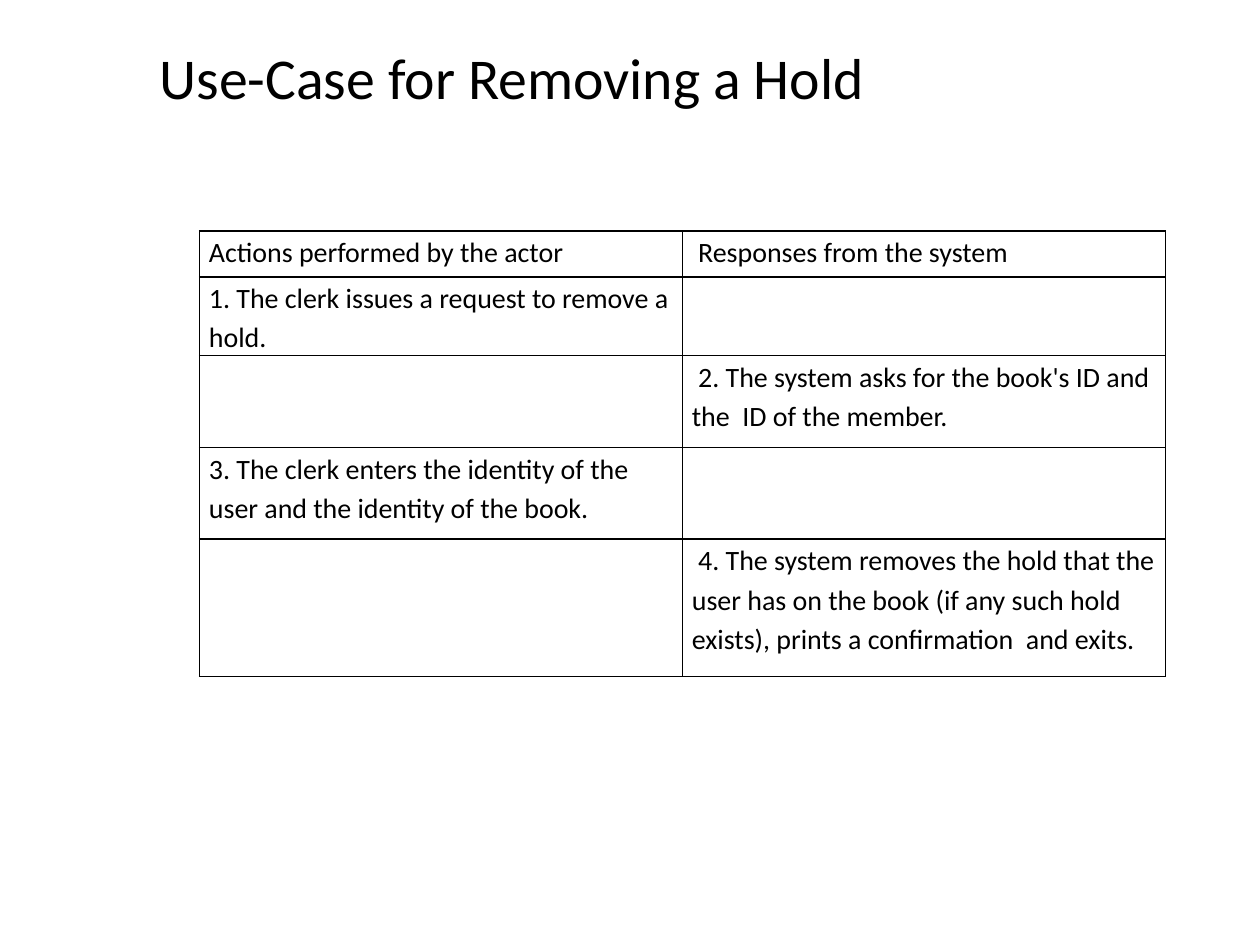
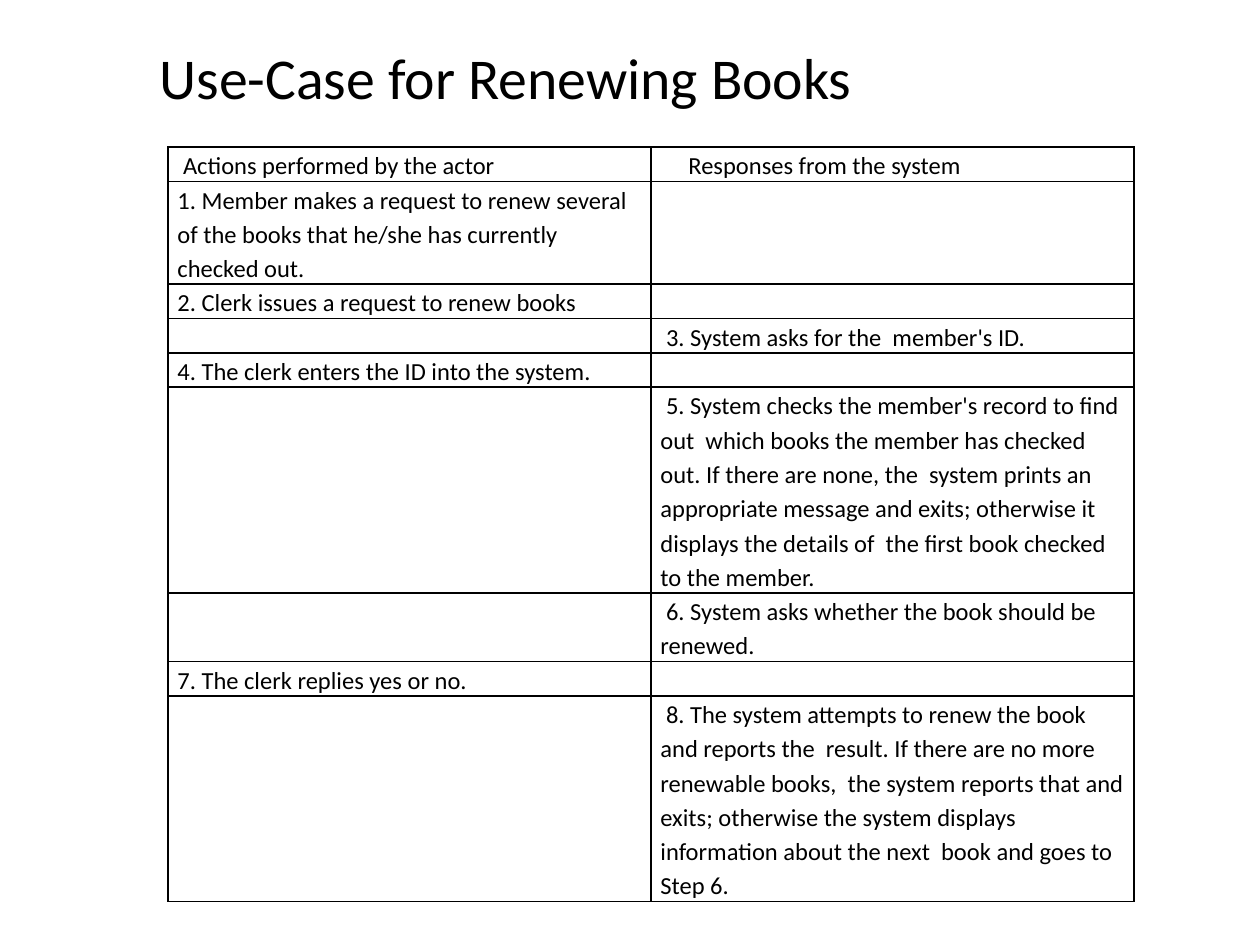
from lxml.etree import SubElement
from pptx import Presentation
from pptx.dml.color import RGBColor
from pptx.enum.text import MSO_ANCHOR, MSO_AUTO_SIZE, PP_ALIGN
from pptx.oxml.ns import qn
from pptx.util import Pt

FONT = "Calibri"
BLACK = "000000"
COLUMN_WIDTH = 276
ACTOR, SYSTEM = 0, 1

# Row heights are a number of text lines times the line height.
USE_CASES = [
    {
        "title": "Use-Case for Removing a Hold",
        "left": 114, "top": 132, "size": 16, "line_height": 26.2,
        "header_indents": (0, 3.6), "response_indent": 3.6,
        "steps": [
            (ACTOR, 1, "1. The clerk issues a request to remove a hold."),
            (SYSTEM, 2, "2. The system asks for the book's ID and the  ID of the member."),
            (ACTOR, 2, "3. The clerk enters the identity of the user and the identity of the book."),
            (SYSTEM, 3, "4. The system removes the hold that the user has on the book "
                        "(if any such hold exists), prints a confirmation  and exits."),
        ],
    },
    {
        "title": "Use-Case for Renewing Books",
        "left": 96, "top": 84, "size": 14, "line_height": 18.3,
        "header_indents": (3.2, 16), "response_indent": 3.2,
        "steps": [
            (ACTOR, 2, "1. Member makes a request to renew several of the books "
                       "that he/she has currently checked out."),
            (ACTOR, 1, "2. Clerk issues a request to renew books"),
            (SYSTEM, 1, "3. System asks for the  member's ID."),
            (ACTOR, 1, "4. The clerk enters the ID into the system."),
            (SYSTEM, 5, "5. System checks the member's record to find out  which books "
                        "the member has checked out. If there are none, the  system prints "
                        "an appropriate message and exits; otherwise it  displays the "
                        "details of  the first book checked to the member."),
            (SYSTEM, 2, "6. System asks whether the book should be renewed."),
            (ACTOR, 1, "7. The clerk replies yes or no."),
            (SYSTEM, 5, "8. The system attempts to renew the book and reports the  result. "
                        "If there are no more renewable books,  the system reports that and "
                        "exits; otherwise the system displays information about the next  "
                        "book and goes to Step 6."),
        ],
    },
]


def style_paragraph(paragraph, size, line_spacing):
    paragraph.alignment = PP_ALIGN.LEFT
    paragraph.line_spacing = line_spacing
    paragraph.font.name = FONT
    paragraph.font.size = Pt(size)
    paragraph.font.bold = False
    paragraph.font.color.rgb = RGBColor.from_string(BLACK)


def fill_cell(cell, text, size, indent):
    """Write a cell's text, with a first-line indent, and draw its borders."""
    cell.margin_left = cell.margin_right = Pt(5.4)
    cell.margin_top = cell.margin_bottom = 0
    cell.text = text
    paragraph = cell.text_frame.paragraphs[0]
    style_paragraph(paragraph, size, 1.15)
    paragraph._p.get_or_add_pPr().set("indent", str(Pt(indent)))
    # An empty cell takes its height from the end-of-paragraph size.
    SubElement(paragraph._p, qn("a:endParaRPr"), sz=str(size * 100))

    properties = cell._tc.get_or_add_tcPr()
    for side in ("a:lnL", "a:lnR", "a:lnT", "a:lnB"):
        border = SubElement(properties, qn(side), w=str(Pt(1)))
        solid_fill = SubElement(border, qn("a:solidFill"))
        SubElement(solid_fill, qn("a:srgbClr"), val=BLACK)
    cell.fill.background()


presentation = Presentation()
presentation.slide_width, presentation.slide_height = Pt(720), Pt(540)
title_only = presentation.slide_layouts.get_by_name("Title Only")

for use_case in USE_CASES:
    slide = presentation.slides.add_slide(title_only)
    title = slide.shapes.title
    title.left, title.top, title.width, title.height = Pt(84), Pt(12), Pt(600), Pt(68.4)
    title.text_frame.text = use_case["title"]
    title.text_frame.auto_size = MSO_AUTO_SIZE.NONE
    title.text_frame.vertical_anchor = MSO_ANCHOR.MIDDLE
    style_paragraph(title.text_frame.paragraphs[0], 33, 0.9)

    size, line_height = use_case["size"], use_case["line_height"]
    line_counts = [1] + [lines for _, lines, _ in use_case["steps"]]
    table = slide.shapes.add_table(
        len(line_counts), 2, Pt(use_case["left"]), Pt(use_case["top"]),
        Pt(2 * COLUMN_WIDTH), Pt(sum(line_counts) * line_height)).table
    table.first_row = table.horz_banding = False
    for column in table.columns:
        column.width = Pt(COLUMN_WIDTH)
    for row, lines in zip(table.rows, line_counts):
        row.height = Pt(lines * line_height)

    headers = ("Actions performed by the actor", "Responses from the system")
    for column, header in enumerate(headers):
        fill_cell(table.cell(0, column), header, size, use_case["header_indents"][column])
    step_indents = (0, use_case["response_indent"])
    for row, (performer, _, text) in enumerate(use_case["steps"], start=1):
        for column in (ACTOR, SYSTEM):
            fill_cell(table.cell(row, column), text if column == performer else "",
                      size, step_indents[column])

presentation.save("out.pptx")
